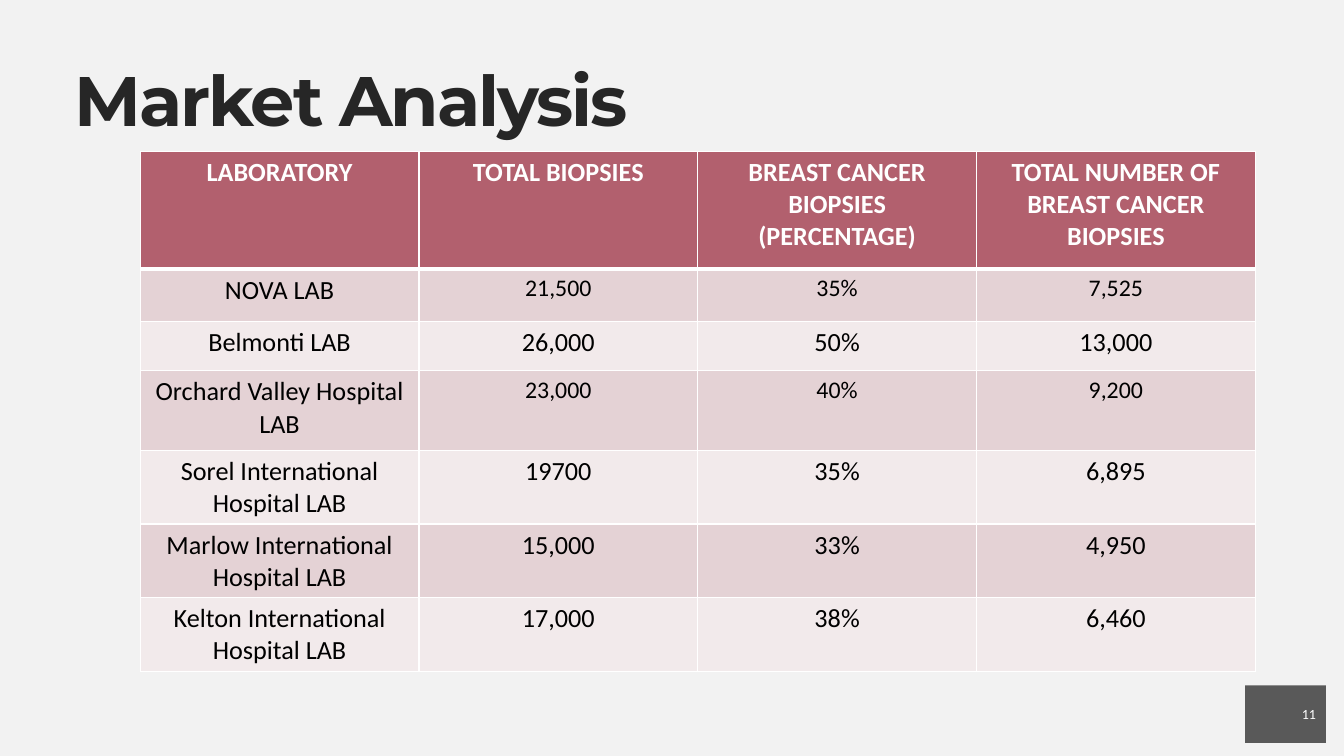
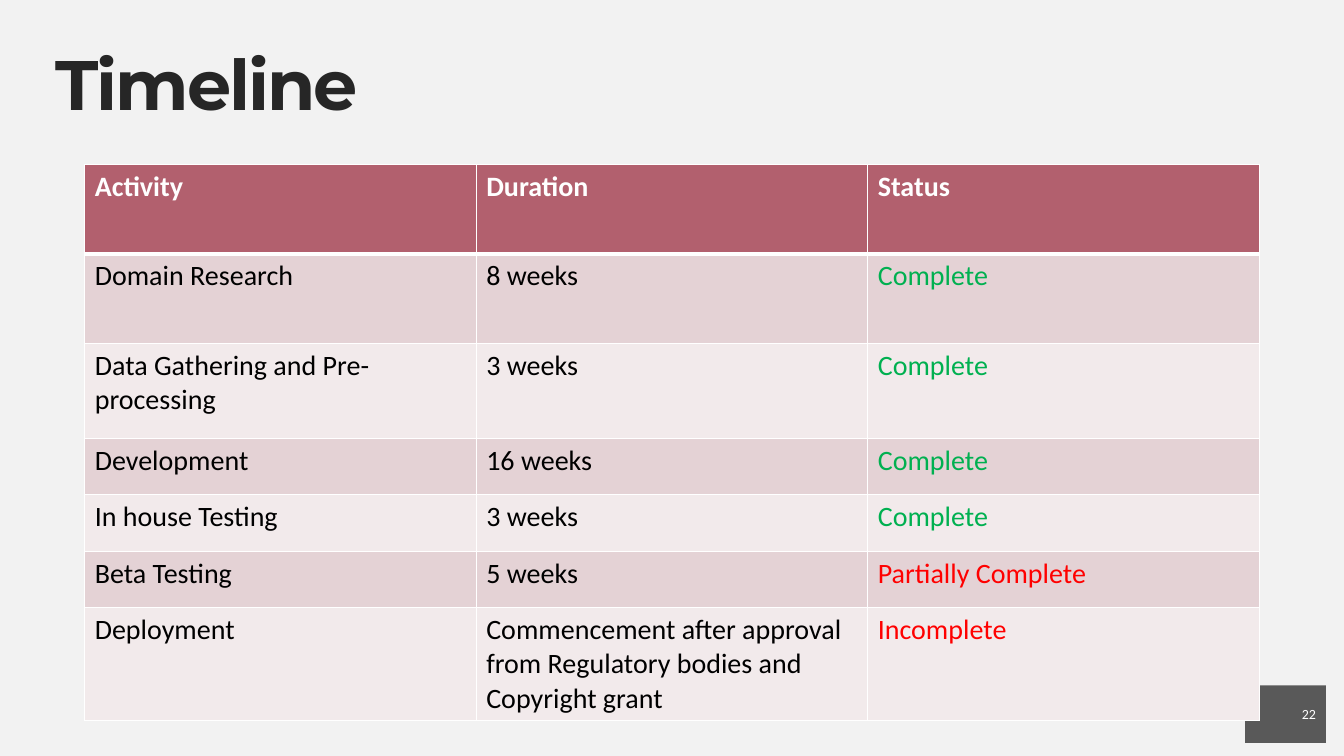
from dataclasses import dataclass

from lxml import etree
from pptx import Presentation
from pptx.dml.color import RGBColor
from pptx.enum.shapes import MSO_SHAPE
from pptx.enum.text import MSO_ANCHOR, PP_ALIGN
from pptx.oxml.ns import qn
from pptx.presentation import Presentation as Deck
from pptx.slide import Slide
from pptx.table import _Cell
from pptx.text.text import _Run
from pptx.util import Inches, Pt

LEFT, CENTER, RIGHT = PP_ALIGN.LEFT, PP_ALIGN.CENTER, PP_ALIGN.RIGHT
TOP, MIDDLE = MSO_ANCHOR.TOP, MSO_ANCHOR.MIDDLE
RECTANGLE = MSO_SHAPE.RECTANGLE

COLORS = {
    "background": "F2F2F2",
    "title": "262626",
    "badge": "595959",
    "header": "B2606E",
    "odd_row": "E4D2D5",
    "even_row": "F2EAEB",
    "white": "FFFFFF",
    "black": "000000",
    "done": "00B050",
    "open": "FF0000",
}
TITLE_FONT = "Montserrat"
BODY_FONT = "Calibri"
BLANK_LAYOUT = 6
THIN, THICK = 1, 3

STATUS_COLORS = {
    "Complete": "done",
    "Partially Complete": "open",
    "Incomplete": "open",
}


@dataclass
class TableSlide:
    title: str
    title_left: float
    title_top: float
    title_inset: float
    number: int
    left: float
    top: float
    width: float
    row_heights: list[float]
    rows: list[list[str]]
    size: float
    align: PP_ALIGN
    small_rows: tuple[int, ...] = ()
    small_size: float = 17


MARKET = TableSlide(
    title="Market Analysis",
    title_left=0.61,
    title_top=0.53,
    title_inset=0.13,
    number=11,
    left=1.39,
    top=1.5,
    width=11.06,
    row_heights=[1.17, 0.52, 0.49, 0.79, 0.73, 0.73, 0.73],
    rows=[
        ["LABORATORY", "TOTAL BIOPSIES", "BREAST CANCER BIOPSIES (PERCENTAGE)",
         "TOTAL NUMBER OF BREAST CANCER BIOPSIES"],
        ["NOVA LAB", "21,500", "35%", "7,525"],
        ["Belmonti LAB", "26,000", "50%", "13,000"],
        ["Orchard Valley Hospital LAB", "23,000", "40%", "9,200"],
        ["Sorel International Hospital LAB", "19700", "35%", "6,895"],
        ["Marlow International Hospital LAB", "15,000", "33%", "4,950"],
        ["Kelton International Hospital LAB", "17,000", "38%", "6,460"],
    ],
    size=18.7,
    align=CENTER,
    small_rows=(1, 3),
)

TIMELINE = TableSlide(
    title="Timeline",
    title_left=0.45,
    title_top=0.4,
    title_inset=0.1,
    number=22,
    left=0.84,
    top=1.63,
    width=11.65,
    row_heights=[0.89, 0.89, 0.94, 0.56, 0.56, 0.56, 1.12],
    rows=[
        ["Activity", "Duration", "Status"],
        ["Domain Research", "8 weeks", "Complete"],
        ["Data Gathering and Pre-processing", "3 weeks", "Complete"],
        ["Development", "16 weeks", "Complete"],
        ["In house Testing", "3 weeks", "Complete"],
        ["Beta Testing", "5 weeks", "Partially Complete"],
        ["Deployment",
         "Commencement after approval from Regulatory bodies and Copyright grant",
         "Incomplete"],
    ],
    size=20,
    align=LEFT,
)


def rgb(name: str) -> RGBColor:
    return RGBColor.from_string(COLORS[name])


def style_span(span: _Run, font: str, size: float, color: str, bold: bool = False) -> None:
    span.font.name = font
    span.font.size = Pt(size)
    span.font.bold = bold
    span.font.color.rgb = rgb(color)


def add_title(page: Slide, content: TableSlide) -> None:
    box = page.shapes.add_textbox(
        Inches(content.title_left), Inches(content.title_top), Inches(12.42), Inches(0.84)
    )
    frame = box.text_frame
    frame.word_wrap = True
    frame.vertical_anchor = TOP
    inset = Inches(content.title_inset)
    frame.margin_left = frame.margin_right = inset
    frame.margin_top = frame.margin_bottom = inset
    frame.text = content.title
    para = frame.paragraphs[0]
    para.line_spacing = 0.9
    span = para.runs[0]
    style_span(span, TITLE_FONT, 50, "title", bold=True)
    span.font._element.set("spc", "-150")


def add_number_badge(page: Slide, number: int) -> None:
    badge = page.shapes.add_shape(
        RECTANGLE, Inches(12.35), Inches(6.8), Inches(0.8), Inches(0.57)
    )
    badge.shadow.inherit = False
    badge.fill.solid()
    badge.fill.fore_color.rgb = rgb("badge")
    badge.line.fill.background()
    frame = badge.text_frame
    frame.vertical_anchor = MIDDLE
    frame.text = str(number)
    para = frame.paragraphs[0]
    para.alignment = RIGHT
    style_span(para.runs[0], BODY_FONT, 10, "white")


def set_borders(cell: _Cell, top: float, bottom: float) -> None:
    """Draw white cell edges; the side edges are always thin."""
    properties = cell._tc.get_or_add_tcPr()
    widths = {"lnL": THIN, "lnR": THIN, "lnT": top, "lnB": bottom}
    for position, (edge, width) in enumerate(widths.items()):
        line = etree.Element(qn(f"a:{edge}"), w=str(Pt(width)))
        fill = etree.SubElement(line, qn("a:solidFill"))
        etree.SubElement(fill, qn("a:srgbClr"), val=COLORS["white"])
        properties.insert(position, line)


def fill_cell(cell: _Cell, text: str, row: int, size: float, align: PP_ALIGN) -> None:
    is_header = row == 0
    cell.margin_left = cell.margin_right = Inches(0.1)
    cell.margin_top = cell.margin_bottom = Inches(0.05)
    cell.fill.solid()
    band = "odd_row" if row % 2 else "even_row"
    cell.fill.fore_color.rgb = rgb("header" if is_header else band)
    set_borders(cell, THICK if row == 1 else THIN, THICK if is_header else THIN)
    cell.text_frame.text = text
    para = cell.text_frame.paragraphs[0]
    para.alignment = align
    color = "white" if is_header else STATUS_COLORS.get(text, "black")
    style_span(para.runs[0], BODY_FONT, size, color, bold=is_header)


def add_grid(page: Slide, content: TableSlide) -> None:
    column_count = len(content.rows[0])
    table = page.shapes.add_table(
        len(content.rows), column_count, Inches(content.left), Inches(content.top),
        Inches(content.width), Inches(sum(content.row_heights)),
    ).table
    for column in table.columns:
        column.width = Inches(content.width / column_count)
    for row, (height, texts) in enumerate(zip(content.row_heights, content.rows)):
        table.rows[row].height = Inches(height)
        for column, text in enumerate(texts):
            is_small = column > 0 and row in content.small_rows
            size = content.small_size if is_small else content.size
            fill_cell(table.cell(row, column), text, row, size, content.align)


def add_table_slide(deck: Deck, content: TableSlide) -> None:
    page = deck.slides.add_slide(deck.slide_layouts[BLANK_LAYOUT])
    add_title(page, content)
    add_number_badge(page, content.number)
    add_grid(page, content)


def main() -> None:
    deck = Presentation()
    deck.slide_width = Inches(13.33)
    deck.slide_height = Inches(7.5)
    background = deck.slide_master.background.fill
    background.solid()
    background.fore_color.rgb = rgb("background")
    for content in (MARKET, TIMELINE):
        add_table_slide(deck, content)
    deck.save("out.pptx")


if __name__ == "__main__":
    main()
